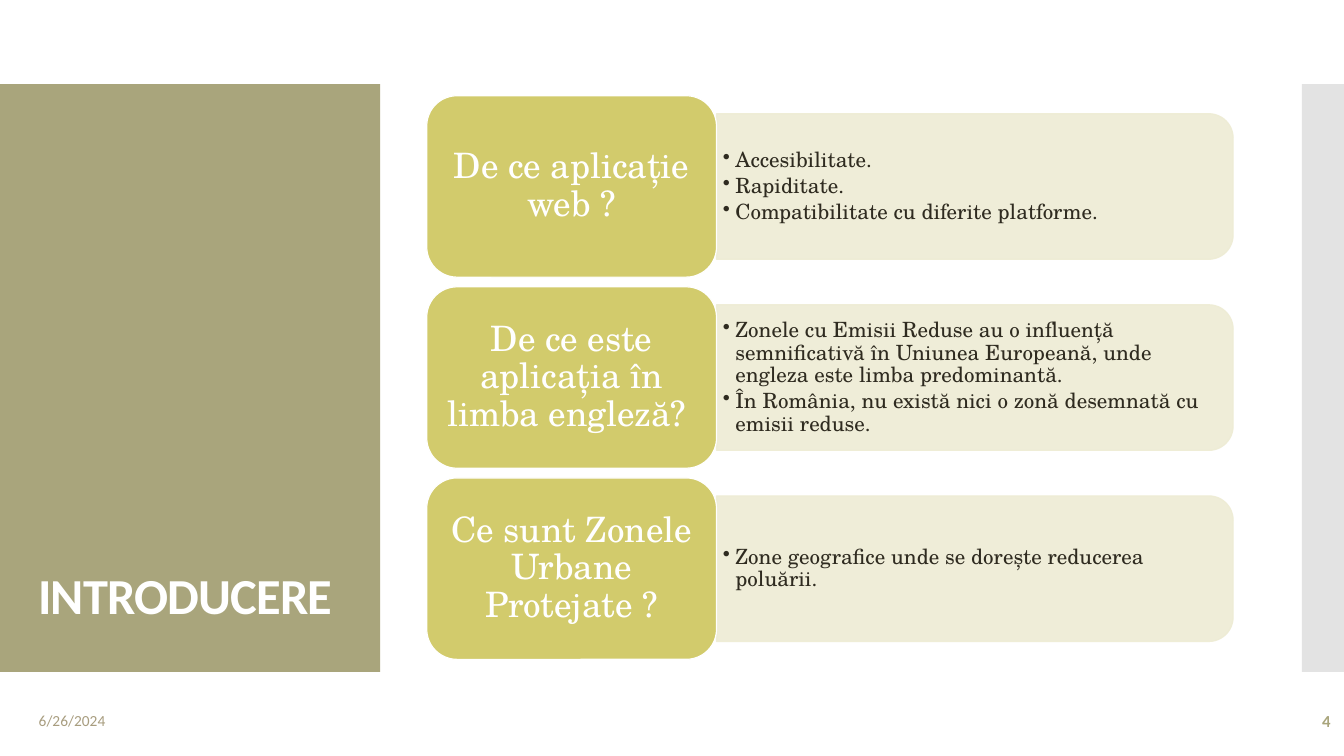
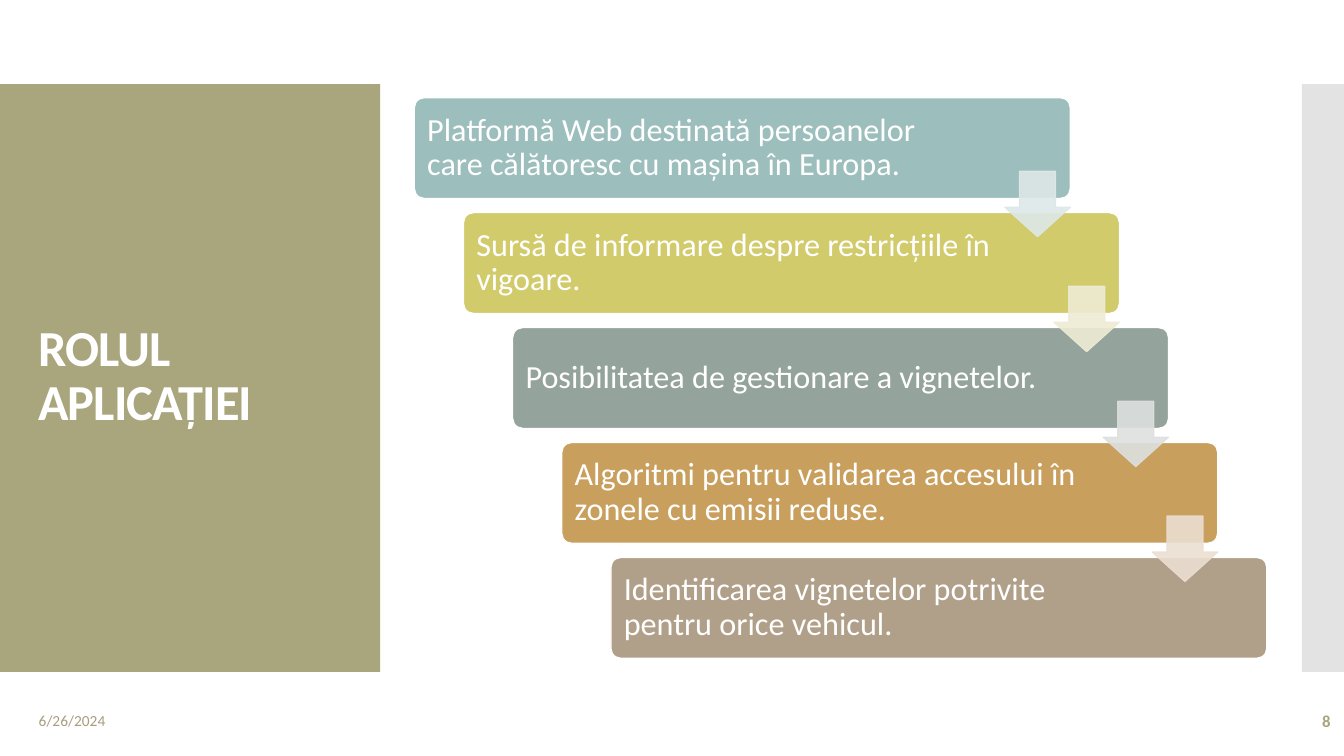
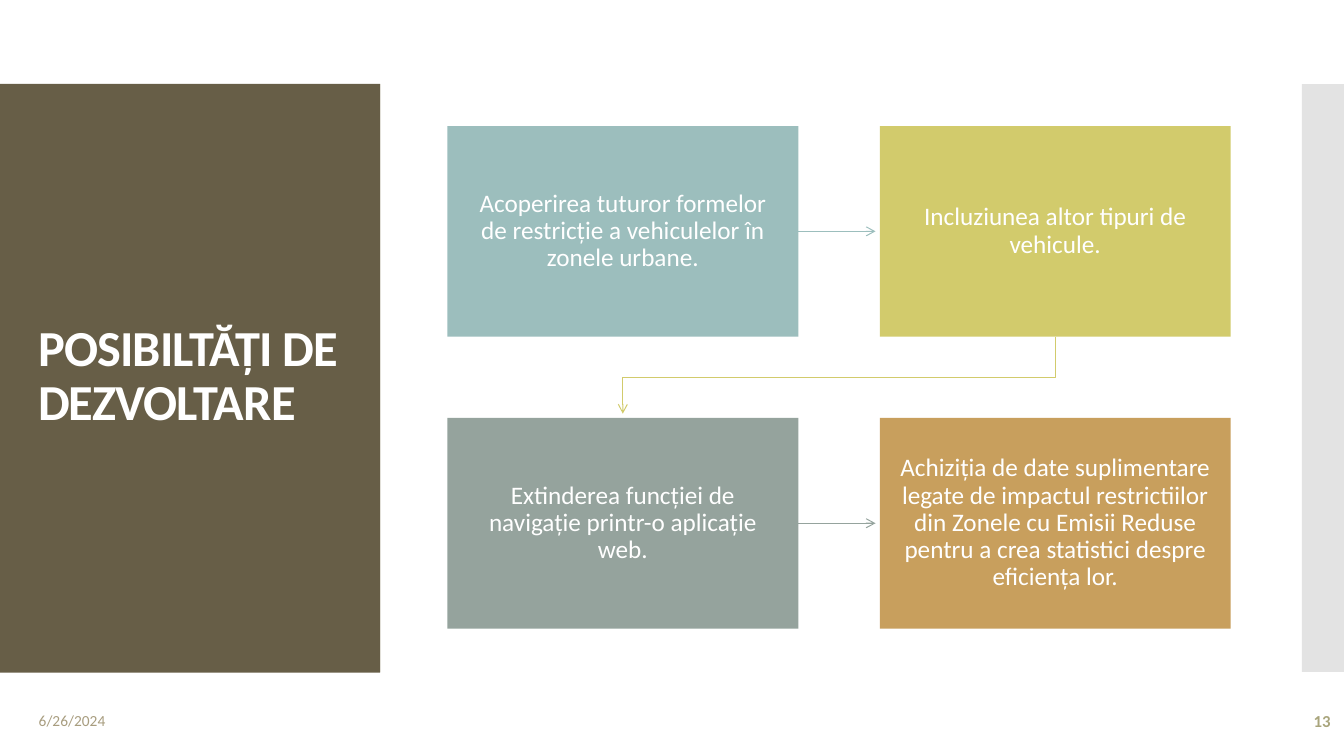
"""Build three slides on an urban low-emission zone application."""
from lxml import etree
from pptx import Presentation
from pptx import util as u
from pptx.dml.color import RGBColor
from pptx.enum import shapes as s, text as t
from pptx.oxml.ns import qn

Pt = u.Pt
KIND = s.MSO_SHAPE
MID = t.MSO_ANCHOR.MIDDLE
LEFT, MIDST, RIGHT = t.PP_ALIGN.LEFT, t.PP_ALIGN.CENTER, t.PP_ALIGN.RIGHT


class Theme:
    sans, serif = "Calibri", "TeX Gyre Schola"
    white, ink, dark = "FFFFFF", "2F2B20", "675E47"
    olive, band, date = "A9A57C", "C8C8C8", "A89D7F"
    teal, lime, sage, amber, taupe = "9CBEBD", "D2CB6C", "95A39D", "C89F5D", "B1A089"
    cream = "EEECD4"
    pale = ["DEE8E8", cream, "DDE0DF", "EBDFD2"]
    title, head, step, cell, body, page, small = 36, 25, 23, 18, 15, 12, 11
    edge, thin = 0.85, 0.75


DATE = "6/26/2024"
HEADS = [
    ("INTRODUCERE", "4", t.MSO_ANCHOR.BOTTOM),
    ("ROLUL APLICAȚIEI", "8", MID),
    ("POSIBILTĂȚI DE DEZVOLTARE", "13", MID),
]
TOPICS = [
    ("De ce aplicație web ?",
     ["Accesibilitate.", "Rapiditate.", "Compatibilitate cu diferite platforme."]),
    ("De ce este aplicația în limba engleză? ",
     ["Zonele cu Emisii Reduse au o influență semnificativă în Uniunea Europeană, "
      "unde engleza este limba predominantă.",
      "În România, nu există nici o zonă desemnată cu emisii reduse."]),
    ("Ce sunt Zonele Urbane Protejate ?",
     ["Zone geografice unde se dorește reducerea poluării."]),
]
ROLES = [
    ("Platformă Web destinată persoanelor care călătoresc cu mașina în Europa.", Theme.teal),
    ("Sursă de informare despre restricțiile în vigoare.", Theme.lime),
    ("Posibilitatea de gestionare a vignetelor.", Theme.sage),
    ("Algoritmi pentru validarea accesului în zonele cu emisii reduse. ", Theme.amber),
    ("Identificarea vignetelor potrivite pentru orice vehicul.", Theme.taupe),
]
PLANS = [
    ("Acoperirea tuturor formelor de restricție a vehiculelor în zonele urbane.", Theme.teal),
    ("Incluziunea altor tipuri de vehicule.", Theme.lime),
    ("Extinderea funcției de navigație printr-o aplicație web.", Theme.sage),
    ("Achiziția de date suplimentare legate de impactul restrictiilor din Zonele cu Emisii "
     "Reduse pentru a crea statistici despre eficiența lor.", Theme.amber),
]


def rgb(code):
    return RGBColor.from_string(code)


def points(*nums):
    return [Pt(n) for n in nums]


def shape(slide, kind, box, fill, line=None, alpha=None, adj=()):
    item = slide.shapes.add_shape(kind, *points(*box))
    item.shadow.inherit = False
    for i, value in enumerate(adj):
        item.adjustments[i] = value
    item.fill.solid()
    item.fill.fore_color.rgb = rgb(fill)
    if line:
        item.line.color.rgb = rgb(line)
        item.line.width = Pt(Theme.edge)
    else:
        item.line.fill.background()
    if alpha:
        for tint in item.element.spPr.iter(qn("a:srgbClr")):
            etree.SubElement(tint, qn("a:alpha"), val=str(alpha * 1000))
    return item


def write(item, lines, size, color, font=Theme.sans, align=LEFT, anchor=MID,
          pads=(7.2, 3.6, 7.2, 3.6), bold=False, bullet=False, lead=0.9):
    frame = item.text_frame
    frame.text = "\n".join(lines)
    frame.word_wrap = True
    frame.auto_size = t.MSO_AUTO_SIZE.NONE
    frame.vertical_anchor = anchor
    (frame.margin_left, frame.margin_top,
     frame.margin_right, frame.margin_bottom) = points(*pads)
    for para in frame.paragraphs:
        if bullet:
            props = para._p.get_or_add_pPr()
            props.set("marL", str(Pt(9)))
            props.set("indent", str(-Pt(9)))
            etree.SubElement(props, qn("a:buChar"), char="•")
            para.space_after = Pt(2.25)
        para.alignment = align
        para.line_spacing = lead
        for run in para.runs:
            run.font.size = Pt(size)
            run.font.name = font
            run.font.bold = bold
            run.font.color.rgb = rgb(color)


def label(slide, box, lines, size, color, **style):
    write(slide.shapes.add_textbox(*points(*box)), lines, size, color, **style)


def send_back(item, owner):
    owner.shapes.element.insert(2, item.element)


def add_bands(slide, layout):
    for box, fill, alpha in [((0, 60, 271.5, 420), Theme.olive, None),
                             ((930, 60, 30, 420), Theme.band, 50)]:
        send_back(shape(slide, KIND.RECTANGLE, box, fill, alpha=alpha), layout)


def start(deck, layout, head, page, anchor):
    slide = deck.slides.add_slide(layout)
    title = slide.shapes.title
    title.left, title.top, title.width, title.height = points(20, 88.5, 232, 362)
    write(title, [head], Theme.title, Theme.white, anchor=anchor, bold=True)
    for run in title.text_frame.paragraphs[0].runs:
        run._r.get_or_add_rPr().set("spc", "-60")
    label(slide, (20.6, 500.4, 216, 28.8), [DATE], Theme.small, Theme.date, lead=1)
    label(slide, (837.6, 500.4, 120, 28.8), [page], Theme.page, Theme.olive,
          align=RIGHT, bold=True, lead=1)
    return slide


def draw_topics(slide):
    left, top, wide, high, pitch = 304.8, 68.4, 207, 129.6, 136.5
    side, span, deep = left + wide, 369, 104
    for i, (head, facts) in enumerate(TOPICS):
        y = top + i * pitch
        mid = y + high / 2
        panel = shape(slide, KIND.ROUND_2_SAME_RECTANGLE,
                      (side + (span - deep) / 2, mid - span / 2, deep, span),
                      Theme.cream, Theme.cream, 90)
        panel.rotation = 90
        label(slide, (side, mid - 47, 363.6, 94), facts, Theme.body, Theme.ink,
              font=Theme.serif, pads=(4.5, 2.25, 4.5, 2.25), bullet=True)
        card = shape(slide, KIND.ROUNDED_RECTANGLE, (left, y, wide, high),
                     Theme.lime, Theme.white)
        write(card, [head], Theme.head, Theme.white, font=Theme.serif, align=MIDST)


def draw_roles(slide):
    wide, high, size = 468.5, 72, 46.8
    spots = [(296 + 35.1 * i, 69.8 + 82.1 * i) for i in range(len(ROLES))]
    for (x, y), (words, fill) in zip(spots, ROLES):
        bar = shape(slide, KIND.ROUNDED_RECTANGLE, (x, y, wide, high), fill,
                    Theme.white, adj=[0.1])
        write(bar, [words], Theme.step, Theme.white, pads=(7.2, 7.2, 89.3, 7.2))
    for (x, y), fill in zip(spots, Theme.pale):
        shape(slide, KIND.DOWN_ARROW, (x + wide - size, y + 52.5, size, size),
              fill, fill, 90, [0.55, 0.45])


def point_to(item, color):
    item.line.color.rgb = rgb(color)
    item.line.width = Pt(Theme.thin)
    props = item.element.spPr
    etree.SubElement(props.find(qn("a:ln")), qn("a:tailEnd"), type="arrow")
    if props.find(qn("a:effectLst")) is None:
        etree.SubElement(props, qn("a:effectLst"))


def draw_plans(slide):
    left, top, wide, high, across, down, gap = 319.6, 90, 250.6, 150.5, 308.8, 208.5, 3
    cells = []
    for i, (words, fill) in enumerate(PLANS):
        row, col = divmod(i, 2)
        cell = shape(slide, KIND.RECTANGLE,
                     (left + col * across, top + row * down, wide, high), fill)
        write(cell, [words], Theme.cell, Theme.white, align=MIDST, pads=(12.2, 13, 12.2, 13))
        cells.append(cell)
    for row in range(2):
        y = top + row * down + high / 2
        link = slide.shapes.add_connector(
            s.MSO_CONNECTOR.STRAIGHT, *points(left + wide, y, left + across - gap, y))
        link.begin_connect(cells[2 * row], 3)
        point_to(link, PLANS[2 * row][1])
    x, y = left + wide / 2, top + high
    bend = (y + top + down) / 2
    pen = slide.shapes.build_freeform(*points(x + across, y))
    pen.add_line_segments([points(x + across, bend), points(x, bend),
                           points(x, top + down - gap)], close=False)
    turn = pen.convert_to_shape()
    turn.shadow.inherit = False
    turn.fill.background()
    point_to(turn, Theme.lime)


def main():
    deck = Presentation()
    deck.slide_width, deck.slide_height = points(960, 540)
    layout = deck.slide_layouts[5]
    slides = [start(deck, layout, *head) for head in HEADS]
    add_bands(slides[0], layout)
    send_back(shape(slides[2], KIND.RECTANGLE, (0, 60, 271.5, 420.5), Theme.dark), slides[2])
    for draw, slide in zip([draw_topics, draw_roles, draw_plans], slides):
        draw(slide)
    deck.save("out.pptx")


if __name__ == "__main__":
    main()
